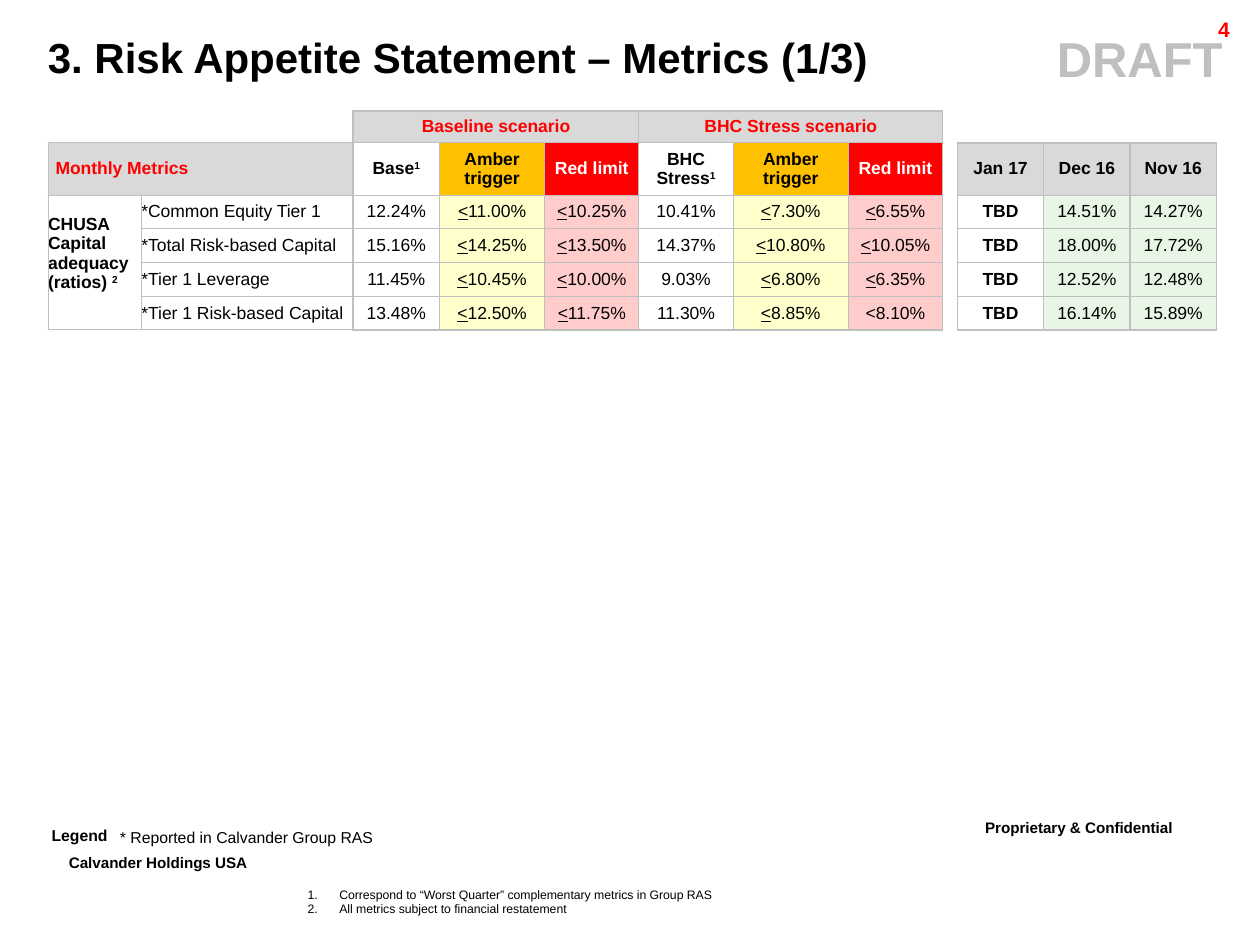
import pptx
import pptx.dml.color
import pptx.enum.text
import pptx.oxml
import pptx.oxml.ns
import pptx.util
from pptx.util import Cm

Pt = pptx.util.Pt
ALIGN = pptx.enum.text.PP_ALIGN
ANCHOR = pptx.enum.text.MSO_ANCHOR
NS = pptx.oxml.ns.nsdecls("a")
COLORS = {
    "black": "000000", "white": "FFFFFF", "red": "FF0000", "amber": "FFC000",
    "grey": "D9D9D9", "border": "BFBFBF", "pale yellow": "FFFFCC",
    "pale red": "FFCCCC", "pale green": "E8F6E6",
}


def rgb(color):
    return pptx.dml.color.RGBColor.from_string(COLORS[color])


def write(paragraph, text, size, color="black", bold=False, raised=False):
    if text.startswith("_"):
        pieces = [(text[1], True, raised), (text[2:], False, raised)]
    else:
        base, _, mark = text.partition("^")
        pieces = [(base, False, raised), (mark, False, True)]
    for piece, underline, superscript in pieces:
        if not piece:
            continue
        run = paragraph.add_run()
        run.text = piece
        font_format = {"name": "Arial", "size": Pt(size), "bold": bold, "underline": underline}
        for attribute, value in font_format.items():
            setattr(run.font, attribute, value)
        run.font.color.rgb = rgb(color)
        if superscript:
            run.font._element.set("baseline", "30000")


deck = pptx.Presentation()
deck.slide_width, deck.slide_height = Cm(25.4), Cm(19.05)
slide = deck.slides.add_slide(deck.slide_layouts[5])

heading = slide.shapes.title
heading_place = {"left": Cm(0.71), "top": Cm(0.66), "width": Cm(20), "height": Cm(1.14)}
for attribute, value in heading_place.items():
    setattr(heading, attribute, value)
heading_format = {"vertical_anchor": ANCHOR.TOP, "word_wrap": True,
                  "auto_size": pptx.enum.text.MSO_AUTO_SIZE.NONE}
for attribute, value in heading_format.items():
    setattr(heading.text_frame, attribute, value)
heading_line = heading.text_frame.paragraphs[0]
heading_line.alignment = ALIGN.LEFT
heading_line.line_spacing = 0.86
write(heading_line, "3. Risk Appetite Statement – Metrics (1/3)", 24, bold=True)

column_widths = [1.88, 4.27, 1.74, 2.12, 1.9, 1.9, 2.32, 1.9, 0.3, 1.74, 1.74, 1.74]
row_heights = [0.64, 1.05] + [0.68] * 4
metric_rows = [
    ["", "", "Baseline scenario", "", "", "BHC Stress scenario", "", "", "", "", "", ""],
    ["Monthly Metrics", "", "Base^1", "Amber trigger", "Red limit", "BHC Stress^1",
     "Amber trigger", "Red limit", "", "Jan 17", "Dec 16", "Nov 16"],
    ["CHUSA Capital adequacy\n(ratios) ^2", "*Common Equity Tier 1", "12.24%", "_<11.00%",
     "_<10.25%", "10.41%", "_<7.30%", "_<6.55%", "", "TBD", "14.51%", "14.27%"],
    ["", "*Total Risk-based Capital", "15.16%", "_<14.25%", "_<13.50%", "14.37%",
     "_<10.80%", "_<10.05%", "", "TBD", "18.00%", "17.72%"],
    ["", "*Tier 1 Leverage", "11.45%", "_<10.45%", "_<10.00%", "9.03%",
     "_<6.80%", "_<6.35%", "", "TBD", "12.52%", "12.48%"],
    ["", "*Tier 1 Risk-based Capital", "13.48%", "_<12.50%", "_<11.75%", "11.30%",
     "_<8.85%", "<8.10%", "", "TBD", "16.14%", "15.89%"],
]
scenario_fills = {column: "grey" for column in range(2, 8)}
header_fills = {0: "grey", 1: "grey", 3: "amber", 4: "red", 6: "amber", 7: "red",
                9: "grey", 10: "grey", 11: "grey"}
value_fills = {3: "pale yellow", 4: "pale red", 6: "pale yellow", 7: "pale red",
               10: "pale green", 11: "pale green"}
row_fills = [scenario_fills, header_fills] + [value_fills] * 4

metrics = slide.shapes.add_table(6, 12, Cm(0.97), Cm(2.24), Cm(sum(column_widths)),
                                 Cm(sum(row_heights))).table
metrics._tbl.tblPr[0].text = "{2D5ABB26-0587-4C30-8999-92F81FD0307C}"
metrics.first_row = metrics.horz_banding = False
for column, width in zip(metrics.columns, column_widths):
    column.width = Cm(width)
for row, height in zip(metrics.rows, row_heights):
    row.height = Cm(height)
for first, last in [((0, 2), (0, 4)), ((0, 5), (0, 7)), ((1, 0), (1, 1)), ((2, 0), (5, 0))]:
    metrics.cell(*first).merge(metrics.cell(*last))

for r, texts in enumerate(metric_rows):
    for c, text in enumerate(texts):
        cell = metrics.cell(r, c)
        margin = Cm(0.1) if r < 2 and text else Cm(0)
        cell_format = {"margin_left": margin, "margin_right": margin, "margin_top": margin,
                       "margin_bottom": margin, "vertical_anchor": ANCHOR.MIDDLE}
        if text == "Monthly Metrics":
            cell_format["margin_left"] = Cm(0.15)
        if (r, c) == (2, 0):
            cell_format["margin_bottom"] = Cm(0.36)
        for attribute, value in cell_format.items():
            setattr(cell, attribute, value)

        if c != 8 and (r > 0 or 2 <= c <= 7):
            heavy = {
                "L": c in (2, 9, 10, 11),
                "R": c in (1, 7, 9, 10, 11),
                "T": r == 0 or (r == 1 and c >= 9),
                "B": r == 5 and c >= 2,
            }
            for side, is_heavy in heavy.items():
                cell._tc.get_or_add_tcPr().append(pptx.oxml.parse_xml(
                    f'<a:ln{side} {NS} w="{Pt(1 if is_heavy else 0.5)}"><a:solidFill>'
                    f'<a:srgbClr val="{COLORS["border"]}"/></a:solidFill></a:ln{side}>'))
        if c in row_fills[r]:
            cell.fill.solid()
            cell.fill.fore_color.rgb = rgb(row_fills[r][c])
        else:
            cell.fill.background()

        if not text:
            cell.text_frame.paragraphs[0]._p.append(
                pptx.oxml.parse_xml(f'<a:endParaRPr {NS} sz="600"/>'))
            continue
        color = "black"
        if r == 0 or text == "Monthly Metrics":
            color = "red"
        elif text == "Red limit":
            color = "white"
        for index, line in enumerate(text.split("\n")):
            paragraph = cell.text_frame.add_paragraph() if index else cell.text_frame.paragraphs[0]
            paragraph.alignment = ALIGN.LEFT if c < 2 else ALIGN.CENTER
            write(paragraph, line, 10, color, bold=r < 2 or c in (0, 9))

labels = [
    (19.61, 16.31, 5.54, 0.89, 0.25, True, ALIGN.LEFT, 1,
     ("Proprietary & Confidential", 15, "black", True, True)),
    (1.14, 17.02, 4.85, 0.89, 0.25, False, ALIGN.LEFT, 1,
     ("Calvander Holdings USA", 15, "black", True, True)),
    (20.7, 0.46, 4.55, 1.45, 0.25, True, ALIGN.CENTER, 1, ("DRAFT", 28, "border", True)),
    (22.63, 0.28, 2.41, 0.61, 0.25, True, ALIGN.RIGHT, 0.86, ("4", 12, "red", True)),
    (2.39, 16.74, 5.16, 0.33, 0, False, ALIGN.CENTER, 0.86,
     ("* Reported in Calvander Group RAS", 9)),
    (1.04, 16.71, 1.3, 0.33, 0, False, ALIGN.LEFT, 0.86, ("Legend", 9, "black", True)),
]
for left, top, width, height, side_inset, wrap, alignment, spacing, wording in labels:
    frame = slide.shapes.add_textbox(Cm(left), Cm(top), Cm(width), Cm(height)).text_frame
    frame_format = {"word_wrap": wrap, "margin_left": Cm(side_inset), "margin_right": Cm(side_inset),
                    "margin_top": Cm(side_inset / 2), "margin_bottom": Cm(side_inset / 2)}
    for attribute, value in frame_format.items():
        setattr(frame, attribute, value)
    frame.paragraphs[0].alignment = alignment
    frame.paragraphs[0].line_spacing = spacing
    write(frame.paragraphs[0], *wording)

footnotes = slide.shapes.add_textbox(Cm(6.2), Cm(17.88), Cm(13.89), Cm(0.9)).text_frame
footnotes.word_wrap = True
for side in ("left", "right", "top", "bottom"):
    setattr(footnotes, f"margin_{side}", Cm(0))
notes = ["Correspond to “Worst Quarter” complementary metrics in Group RAS",
         "All metrics subject to financial restatement"]
for index, note in enumerate(notes):
    paragraph = footnotes.add_paragraph() if index else footnotes.paragraphs[0]
    properties = paragraph._p.get_or_add_pPr()
    properties.set("marL", str(Cm(0.64)))
    properties.set("indent", str(-Cm(0.64)))
    properties.append(pptx.oxml.parse_xml(f'<a:buFont {NS} typeface="+mj-lt"/>'))
    properties.append(pptx.oxml.parse_xml(f'<a:buAutoNum {NS} type="arabicPeriod"/>'))
    write(paragraph, note, 7)

deck.save("out.pptx")
